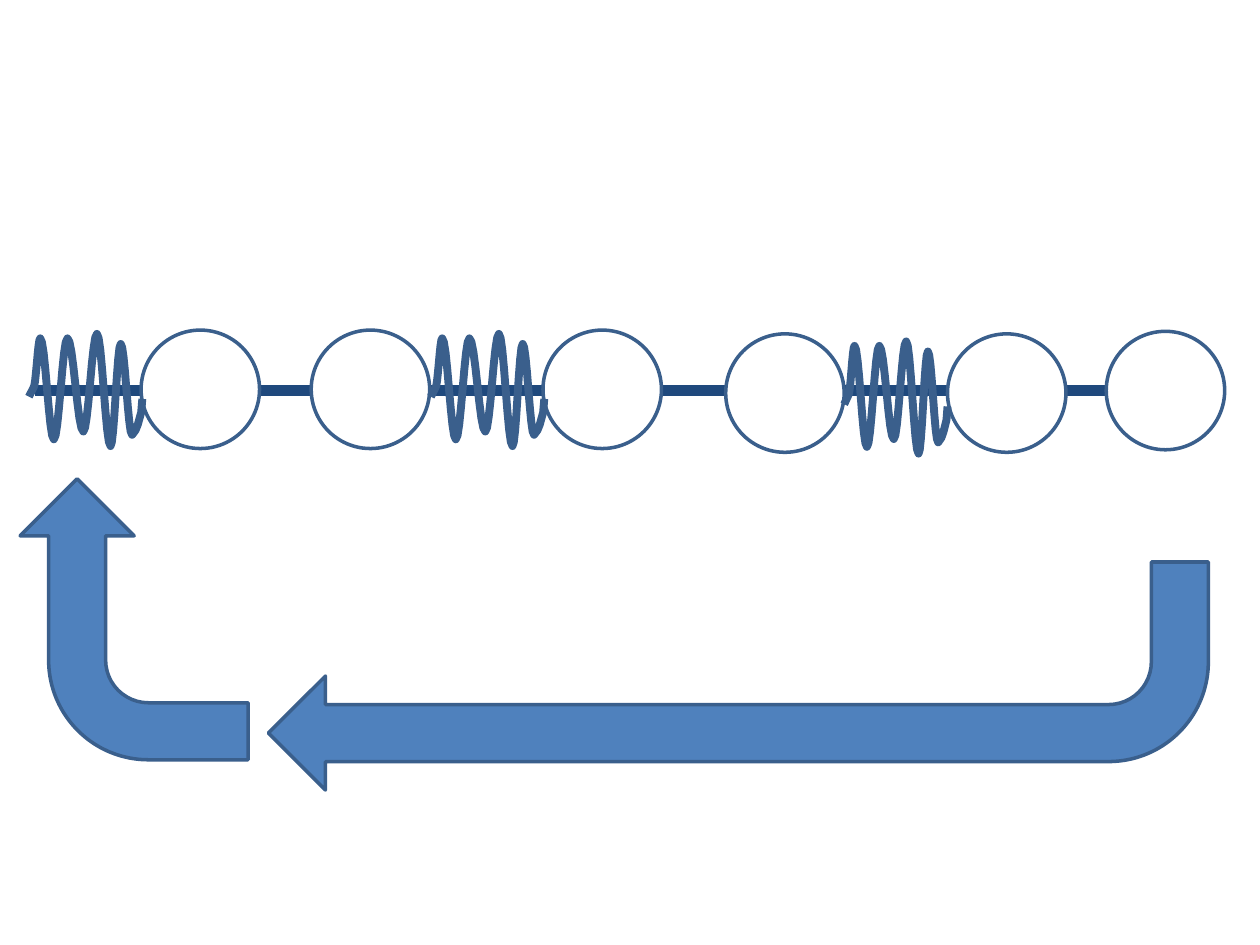
from math import cos, pi
from pptx import Presentation
from pptx.dml.color import RGBColor as Rgb
from pptx.enum.shapes import MSO_CONNECTOR as Link, MSO_SHAPE as Kind
from pptx.oxml.ns import qn
from pptx.util import Inches, Pt
from lxml.etree import SubElement as Sub

HUES = {"rod": "1F497D", "edge": "3A5F8C", "arrow": "4F81BD", "ball": "FFFFFF"}
COLS, ROWS = 100, 75
CELL = Inches(0.1)
SIZE = 9.4
BALLS = [(11.2, 26.2), (24.7, 26.2), (43.1, 26.2), (57.6, 26.5), (75.2, 26.5), (87.8, 26.3)]
COILS = [(34.2, 26.5, 9), (67, 27.1, 8.2), (2.3, 26.5, 9)]
ARROWS = [(21.3, 44.6, 74.6, 18.1, 180), (-0.5, 40.1, 22.3, 18.1, 270)]
TURNS = [(0.04, 0.48), (0.1, 0.04), (0.22, 0.94), (0.34, 0.04), (0.48, 0.87),
         (0.6, 0), (0.72, 1), (0.81, 0.09), (0.91, 0.9)]
HEAD = [(0, 0.56)]
TAIL = [(0.94, 0.86), (0.96, 0.81), (0.99, 0.7), (1, 0.58)]
DEPTH = 8.9


def grid(*nums):
    """Turn grid counts into lengths."""
    return [round(n * CELL) for n in nums]


def ink(line, hue, width):
    """Set the colour and width of a line."""
    line.color.rgb = Rgb.from_string(HUES[hue])
    line.width = Pt(width)


def solid(slide, kind, box, hue, turn=0):
    """Add a filled preset shape with an edge."""
    shape = slide.shapes.add_shape(kind, *grid(*box))
    shape.shadow.inherit = False
    shape.rotation = turn
    shape.fill.solid()
    shape.fill.fore_color.rgb = Rgb.from_string(HUES[hue])
    ink(shape.line, "edge", 2)


def rod(slide, left, right, row):
    """Add the straight bar behind the chain."""
    bar = slide.shapes.add_connector(Link.STRAIGHT, *grid(left, row, right, row))
    ink(bar.line, "rod", 6)
    Sub(bar._element.spPr, qn("a:effectLst"))


def wave(steps=8):
    """Ease between the turning points of a coil."""
    dots = HEAD + TURNS[:1]
    for (xa, ya), (xb, yb) in zip(TURNS, TURNS[1:]):
        for i in range(1, steps + 1):
            part = i / steps
            ease = (1 - cos(pi * part)) / 2
            dots.append((xa + (xb - xa) * part, ya + (yb - ya) * ease))
    return dots + TAIL


def coil(slide, left, top, width):
    """Add an open spring as a freeform."""
    dots = [grid(left + x * width, top + y * DEPTH) for x, y in wave()]
    pen = slide.shapes.build_freeform(*dots[0])
    pen.add_line_segments(dots[1:], close=False)
    shape = pen.convert_to_shape()
    shape.shadow.inherit = False
    shape.fill.background()
    ink(shape.line, "edge", 4.5)


def main():
    """Build the chain of balls and springs with its return arrows."""
    deck = Presentation()
    deck.slide_width, deck.slide_height = grid(COLS, ROWS)
    slide = deck.slides.add_slide(deck.slide_layouts[6])
    rod(slide, 2.8, 97.2, 31)
    for left, top in BALLS:
        solid(slide, Kind.OVAL, (left, top, SIZE, SIZE), "ball")
    for spot in COILS:
        coil(slide, *spot)
    for *box, turn in ARROWS:
        solid(slide, Kind.BENT_ARROW, box, "arrow", turn)
    deck.save("out.pptx")


if __name__ == "__main__":
    main()
